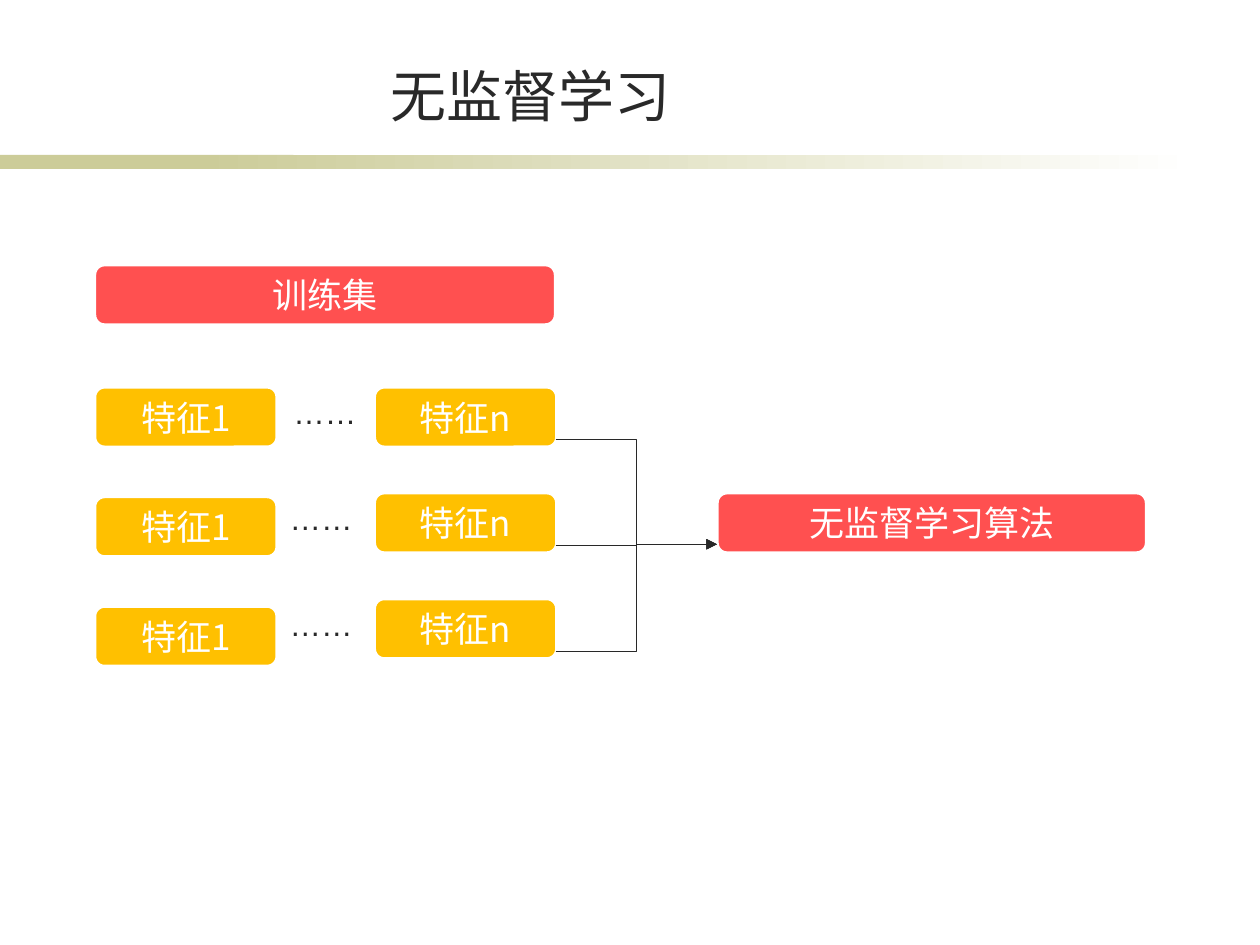
from lxml import etree
from pptx import Presentation, util as u
from pptx.dml.color import RGBColor
from pptx.enum import shapes, text
from pptx.oxml.ns import qn

TITLE = "无监督学习"
TRAINING_SET = "训练集"
ALGORITHM = "无监督学习算法"
FIRST_FEATURE, GAP, LAST_FEATURE = "特征1", "……", "特征n"
GAP_LEFTS = (2.23, 2.2, 2.2)

RED, AMBER, OLIVE, WHITE, INK, ARROW = (
    "FF5050", "FFC000", "CCCC99", "FFFFFF", "292929", "282828")
LATIN, CHINESE = "Arial", "Noto Sans CJK SC"

LEFT, ROWS_TOP = 0.75, 3.07
FIRST_STEP, LAST_STEP = 0.87, 0.84
FEATURE_W, BOX_H = 1.45, 0.48
LAST_LEFT, SET_W = 2.97, 3.66
ALGORITHM_LEFT, ALGORITHM_W = 5.69, 3.41
ARROW_DROP = 0.42

deck = Presentation()
deck.slide_width, deck.slide_height = u.Inches(10), u.Inches(7.5)
slide = deck.slides.add_slide(deck.slide_layouts[6])


def inches(*lengths):
    return [u.Inches(length) for length in lengths]


def color(value):
    return RGBColor.from_string(value)


def write(holder, words, size=20, font=CHINESE, fill=WHITE,
          align=text.PP_ALIGN.CENTER, anchor=text.MSO_ANCHOR.MIDDLE, wrap=True):
    frame = holder.text_frame
    frame.word_wrap = wrap
    frame.vertical_anchor = anchor
    paragraph = frame.paragraphs[0]
    paragraph.alignment = align
    run = paragraph.add_run()
    run.text = words
    run.font.size = u.Pt(size)
    run.font.name = font
    run.font.color.rgb = color(fill)
    etree.SubElement(run.font._element, qn("a:ea")).set("typeface", font)


def block(kind, place, fill):
    part = slide.shapes.add_shape(kind, *inches(*place))
    part.shadow.inherit = False
    part.fill.solid()
    part.fill.fore_color.rgb = color(fill)
    part.line.fill.background()
    return part


def label_box(words, left, top, width, fill):
    box = block(shapes.MSO_SHAPE.ROUNDED_RECTANGLE, (left, top, width, BOX_H), fill)
    box.line.color.rgb = color(WHITE)
    box.line.width = u.Pt(2)
    write(box, words)


def arrow(start, end):
    link = slide.shapes.add_connector(
        shapes.MSO_CONNECTOR.ELBOW, *inches(*start, *end))
    link.line.color.rgb = color(ARROW)
    link.line.width = u.Pt(0.75)
    etree.SubElement(link.line._get_or_add_ln(), qn("a:tailEnd")).set("type", "triangle")
    etree.SubElement(link._element.spPr, qn("a:effectLst"))


block(shapes.MSO_SHAPE.RECTANGLE, (0, 1.23, 2.33, 0.11), OLIVE)
fade = block(shapes.MSO_SHAPE.RECTANGLE, (1.58, 1.23, 7.92, 0.11), OLIVE)
fade.fill.gradient()
fade.fill.gradient_angle = 0
for stop, position, shade in zip(fade.fill.gradient_stops, (0, 1), (OLIVE, WHITE)):
    stop.position = position
    stop.color.rgb = color(shade)

title = slide.shapes.add_textbox(*inches(1.14, 0.44, 6.14, 0.63))
write(title, TITLE, size=32, font=LATIN, fill=INK, anchor=text.MSO_ANCHOR.BOTTOM)

label_box(ALGORITHM, ALGORITHM_LEFT, ROWS_TOP + LAST_STEP, ALGORITHM_W, RED)
label_box(TRAINING_SET, LEFT, 2.1, SET_W, RED)

target = (ALGORITHM_LEFT, ROWS_TOP + LAST_STEP + ARROW_DROP - 0.01)
for row, gap_left in enumerate(GAP_LEFTS):
    top = ROWS_TOP + row * LAST_STEP
    label_box(FIRST_FEATURE, LEFT, ROWS_TOP + row * FIRST_STEP, FEATURE_W, AMBER)
    label_box(LAST_FEATURE, LAST_LEFT, top, FEATURE_W, AMBER)
    arrow((LEFT + SET_W, top + ARROW_DROP), target)
    dots = slide.shapes.add_textbox(*inches(gap_left, top, 0.7, 0.4))
    write(dots, GAP, size=18, font=LATIN, fill=INK, wrap=False,
          align=text.PP_ALIGN.LEFT, anchor=text.MSO_ANCHOR.TOP)

deck.save("out.pptx")
